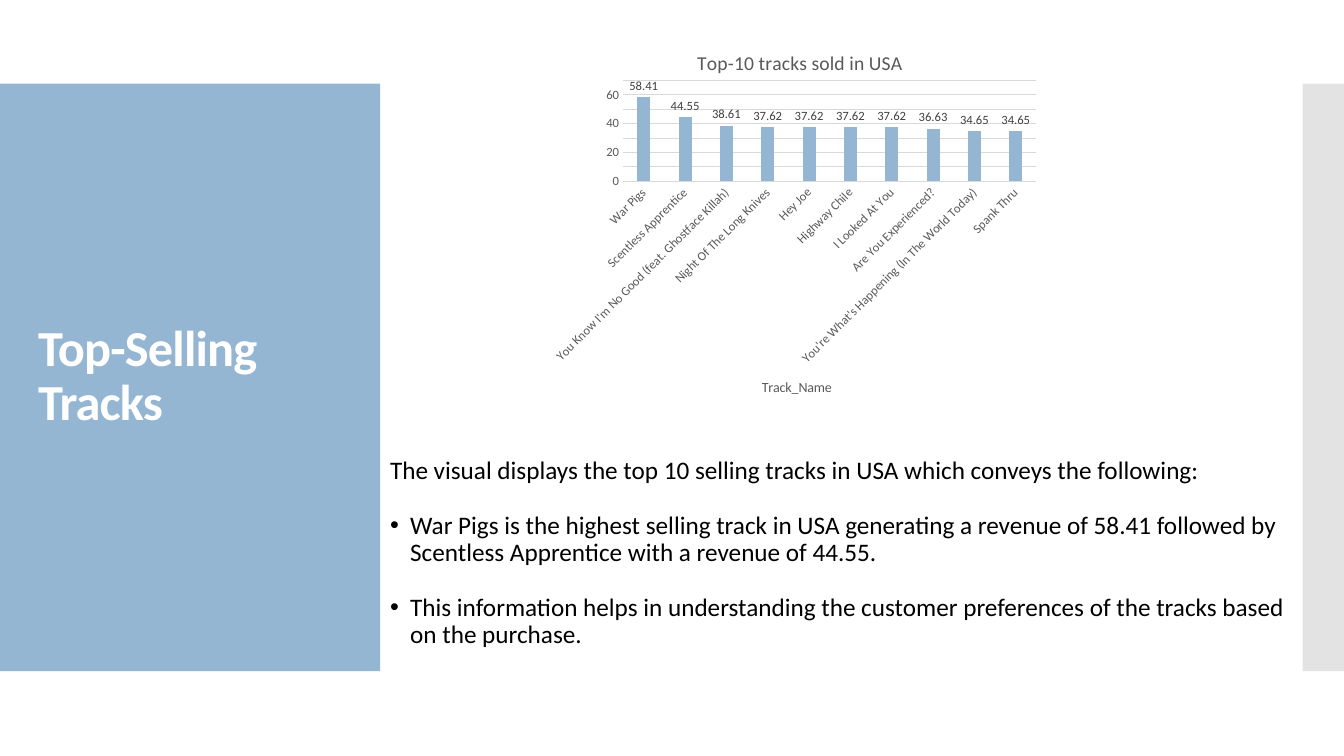
from lxml import etree
from pptx import Presentation
from pptx.chart.data import CategoryChartData
from pptx.dml.color import RGBColor
from pptx.enum.chart import XL_CHART_TYPE as Kind, XL_LABEL_POSITION as Spot, XL_TICK_MARK as Tick
from pptx.enum.shapes import MSO_SHAPE as Form
from pptx.enum.text import MSO_ANCHOR as Anchor
from pptx.oxml import parse_xml
from pptx.oxml.ns import nsdecls, qn
from pptx.util import Inches, Pt

FONT = "Calibri"
BLUE, GREY, RULE, INK = "94B6D2", "595959", "D9D9D9", "000000"
TITLE = "Top-Selling Tracks"
LEAD = "The visual displays the top 10 selling tracks in USA which conveys the following:"
POINTS = [
    "War Pigs is the highest selling track in USA generating a revenue of 58.41 "
    "followed by Scentless Apprentice with a revenue of 44.55.",
    "This information helps in understanding the customer preferences of the "
    "tracks based on the purchase.",
]
SALES = [
    ("War Pigs", 58.41),
    ("Scentless Apprentice", 44.55),
    ("You Know I'm No Good (feat. Ghostface Killah)", 38.61),
    ("Night Of The Long Knives", 37.62),
    ("Hey Joe", 37.62),
    ("Highway Chile", 37.62),
    ("I Looked At You", 37.62),
    ("Are You Experienced?", 36.63),
    ("You're What's Happening (In The World Today)", 34.65),
    ("Spank Thru", 34.65),
]


def color(code):
    return RGBColor.from_string(code)


def style(font, size, code, bold=False):
    font.name, font.size, font.bold = FONT, Pt(size), bold
    font.color.rgb = color(code)


def add_panel(left, width, code):
    panel = slide.shapes.add_shape(Form.RECTANGLE, Inches(left), Inches(0.83),
                                   Inches(width), Inches(5.83))
    panel.shadow.inherit = False
    panel.fill.solid()
    panel.fill.fore_color.rgb = color(code)
    panel.line.fill.background()
    return panel


def add_text(box, lines, anchor):
    frame = slide.shapes.add_textbox(*map(Inches, box)).text_frame
    frame.word_wrap = True
    frame.vertical_anchor = anchor
    frame.text = "\n".join(lines)
    for para in frame.paragraphs:
        para.line_spacing = 0.9
    return frame.paragraphs


def add_bullet(para):
    props = para._p.get_or_add_pPr()
    props.set("marL", str(Inches(0.2)))
    props.set("indent", str(-Inches(0.2)))
    props.append(parse_xml(f'<a:buFont {nsdecls("a")} typeface="Arial"/>'))
    props.append(parse_xml(f'<a:buChar {nsdecls("a")} char="•"/>'))


def place(node, after, inner=False, **spots):
    """Put a manual layout, in fractions of the chart, after a child of node."""
    for old in node.findall(qn("c:layout")):
        node.remove(old)
    target = '<c:layoutTarget val="inner"/>' if inner else ""
    modes = "".join(f'<c:{k}Mode val="edge"/>' for k in "xy")
    vals = "".join(f'<c:{k} val="{v}"/>' for k, v in spots.items())
    layout = parse_xml(f'<c:layout {nsdecls("c")}><c:manualLayout>{target}{modes}'
                       f'{vals}</c:manualLayout></c:layout>')
    if after:
        node.find(qn(after)).addnext(layout)
    else:
        node.insert(0, layout)


def add_title(owner, text, size, x, y):
    frame = owner.text_frame
    frame.text = text
    style(frame.paragraphs[0].runs[0].font, size, GREY)
    place(owner._element, "c:tx", x=x, y=y)


deck = Presentation()
deck.slide_width, deck.slide_height = Inches(13.33), Inches(7.5)
slide = deck.slides.add_slide(deck.slide_layouts[6])

add_panel(0, 3.77, BLUE)
strip = add_panel(12.92, 0.41, "C8C8C8")
tint = strip.fill._xPr.find(".//" + qn("a:srgbClr"))
etree.SubElement(tint, qn("a:alpha")).set("val", "50000")

head = add_text((0.28, 1.23, 3.22, 5.03), [TITLE], Anchor.MIDDLE)[0].runs[0]
style(head.font, 36, "FFFFFF", True)
head._r.get_or_add_rPr().set("spc", "-60")

body = add_text((3.77, 4.49, 9.2, 2.1), [LEAD, *POINTS], Anchor.TOP)
for para in body[1:]:
    para.space_before = Pt(19.7)
    add_bullet(para)
for para in body:
    style(para.runs[0].font, 18, INK)

data = CategoryChartData()
data.categories = [name for name, _ in SALES]
data.add_series("Series 1", [value for _, value in SALES])
chart = slide.shapes.add_chart(Kind.COLUMN_CLUSTERED, Inches(5.38), Inches(0.26),
                               Inches(5), Inches(3.85), data).chart
style(chart.font, 10, INK)
chart.has_legend = False
chart.has_title = True
add_title(chart.chart_title, "Top-10 tracks sold in USA", 14, 0.3, 0.05)
place(chart._chartSpace.chart.plotArea, None, True, x=0.16, y=0.14, w=0.82, h=0.26)

plot = chart.plots[0]
plot.gap_width, plot.overlap, plot.vary_by_categories = 219, -27, False
bars = plot.series[0]
bars.format.fill.solid()
bars.format.fill.fore_color.rgb = color(BLUE)
labels = bars.data_labels
labels.show_value = True
labels.position = Spot.OUTSIDE_END
style(labels.font, 9, "404040")

tracks, sums = chart.category_axis, chart.value_axis
for axis in (tracks, sums):
    axis.major_tick_mark = axis.minor_tick_mark = Tick.NONE
    style(axis.tick_labels.font, 9, GREY)
tracks._element.find(".//" + qn("a:bodyPr")).set("rot", "-2700000")
add_title(tracks.axis_title, "Track_Name", 10, 0.43, 0.9)
sums.minimum_scale, sums.maximum_scale, sums.major_unit = 0, 70, 10
sums.format.line.fill.background()
for line in (tracks.format.line, sums.major_gridlines.format.line):
    line.color.rgb = color(RULE)
    line.width = Pt(0.75)

deck.save("out.pptx")
